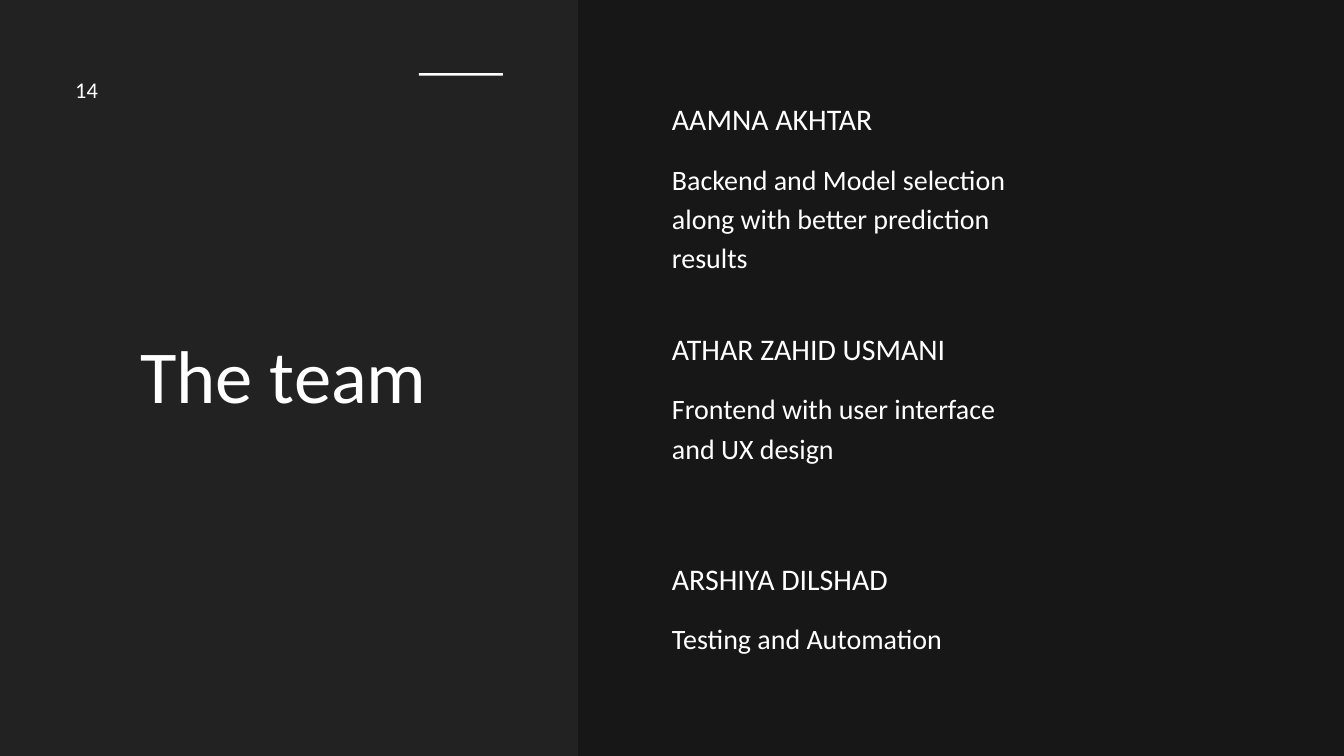
from dataclasses import dataclass

from lxml import etree
from pptx import Presentation
from pptx.dml.color import RGBColor
from pptx.enum.shapes import MSO_SHAPE
from pptx.enum.text import MSO_AUTO_SIZE, PP_ALIGN
from pptx.oxml.ns import qn
from pptx.util import Pt

RECTANGLE = MSO_SHAPE.RECTANGLE
GROW = MSO_AUTO_SIZE.SHAPE_TO_FIT_TEXT
LEFT, CENTER = PP_ALIGN.LEFT, PP_ALIGN.CENTER


@dataclass(frozen=True)
class Theme:
    """Colours, font and (size, line spacing) pairs of the slide."""
    background: RGBColor = RGBColor(0x17, 0x17, 0x17)
    foreground: RGBColor = RGBColor(0xFF, 0xFF, 0xFF)
    panel_opacity: int = 5
    font: str = "Calibri"
    title: tuple = (80, 78.4)
    name: tuple = (32, 38.4)
    role: tuple = (30, 42)
    number: tuple = (24, 33.6)


THEME = Theme()
TEAM = [
    ("AAMNA AKHTAR", ["Backend and Model selection along with better prediction results"], 122.4),
    ("ATHAR ZAHID USMANI", ["Frontend with user interface", "and UX design"], 81.4),
    ("ARSHIYA DILSHAD", ["Testing and Automation"], 39.6),
]


def add_text(shapes, box, lines, style, alignment=LEFT):
    """Add a text box without insets, one paragraph per line."""
    frame = shapes.add_textbox(*map(Pt, box)).text_frame
    frame.margin_left = frame.margin_top = frame.margin_right = frame.margin_bottom = 0
    frame.word_wrap = True
    frame.auto_size = GROW
    frame.text = "\n".join(lines)
    size, spacing = style
    for paragraph in frame.paragraphs:
        paragraph.alignment = alignment
        paragraph.line_spacing = Pt(spacing)
        paragraph.font.name = THEME.font
        paragraph.font.size = Pt(size)
        paragraph.font.color.rgb = THEME.foreground


def add_rectangle(shapes, box):
    """Add a plain rectangle in the foreground colour."""
    shape = shapes.add_shape(RECTANGLE, *map(Pt, box))
    shape.shadow.inherit = False
    shape.fill.solid()
    shape.fill.fore_color.rgb = THEME.foreground
    shape.line.fill.background()
    return shape


def add_title_panel(slide, left, top, width, height):
    """Draw the translucent panel with title, slide number and accent bar."""
    panel = add_rectangle(slide.shapes, (left, top, width, height))
    color = next(panel.fill._xPr.iter(qn("a:srgbClr")))
    etree.SubElement(color, qn("a:alpha"), val=str(THEME.panel_opacity * 1000))
    add_text(slide.shapes, (left + 69.1, top + 370, 469.4, 82), ["The team"], THEME.title, CENTER)
    add_text(slide.shapes, (left + 80.6, top + 77, 120, 31.7), ["14"], THEME.number)
    accent = add_rectangle(slide.shapes, (left + 492.5, top + 34.6, 2.7, 90))
    accent.rotation = 270


def add_member(slide, left, top, width, member):
    """Group a member's name with the role below it."""
    name, role, role_height = member
    shapes = slide.shapes.add_group_shape().shapes
    add_text(shapes, (left, top, width, 37.4), [name], THEME.name)
    add_text(shapes, (left, top + 59.6, width, role_height), role, THEME.role)


def add_team(slide, left, top, width, pitch):
    """Stack the members at an equal pitch."""
    for index, member in enumerate(TEAM):
        add_member(slide, left, top + index * pitch, width, member)


def main():
    """Build and save the team slide."""
    presentation = Presentation()
    presentation.slide_width, presentation.slide_height = Pt(1440), Pt(810)
    slide = presentation.slides.add_slide(presentation.slide_layouts[6])
    slide.background.fill.solid()
    slide.background.fill.fore_color.rgb = THEME.background
    add_title_panel(slide, 0, 0, 619.2, 810)
    add_team(slide, 720, 108, 376.6, 246.3)
    presentation.save("out.pptx")


if __name__ == "__main__":
    main()
